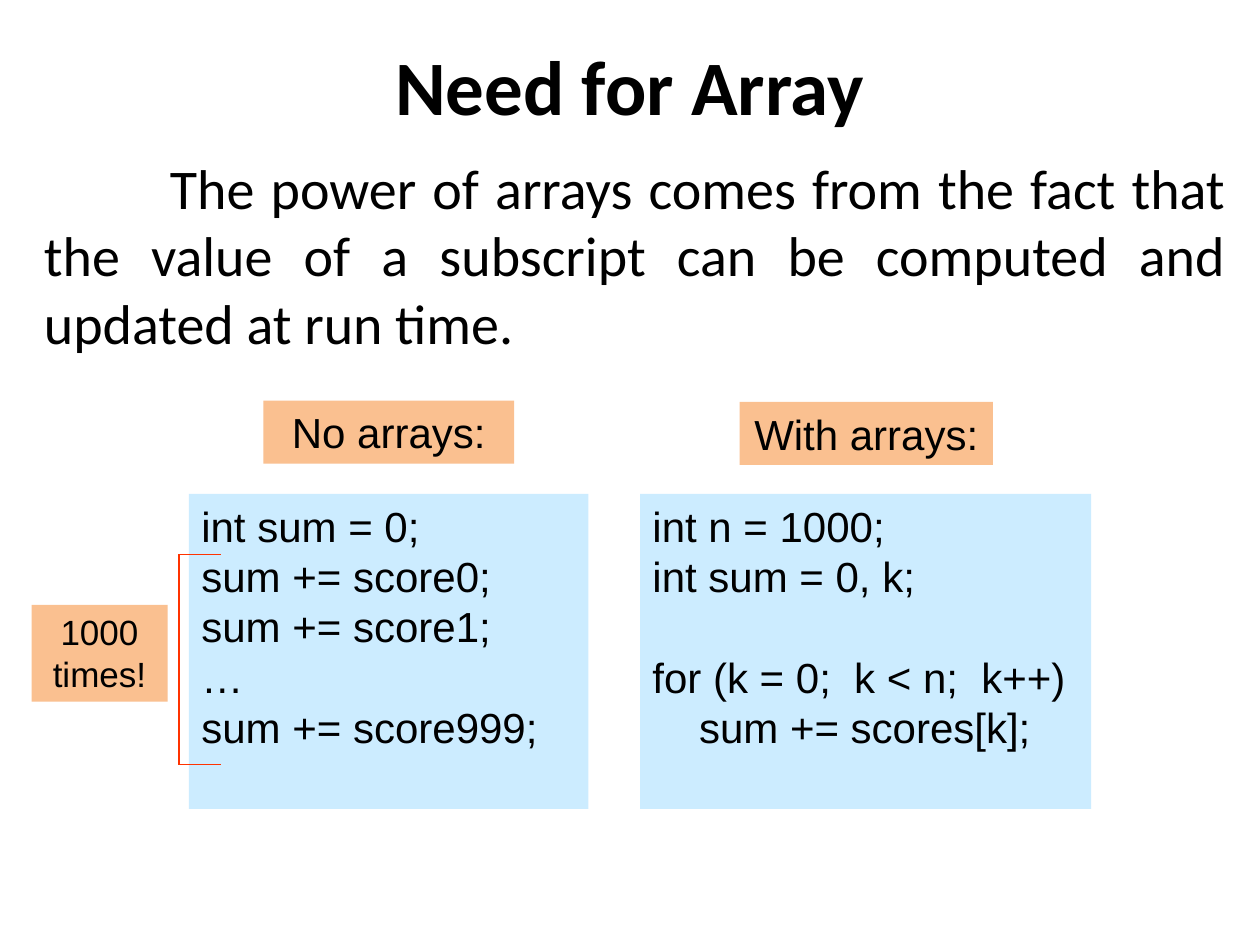
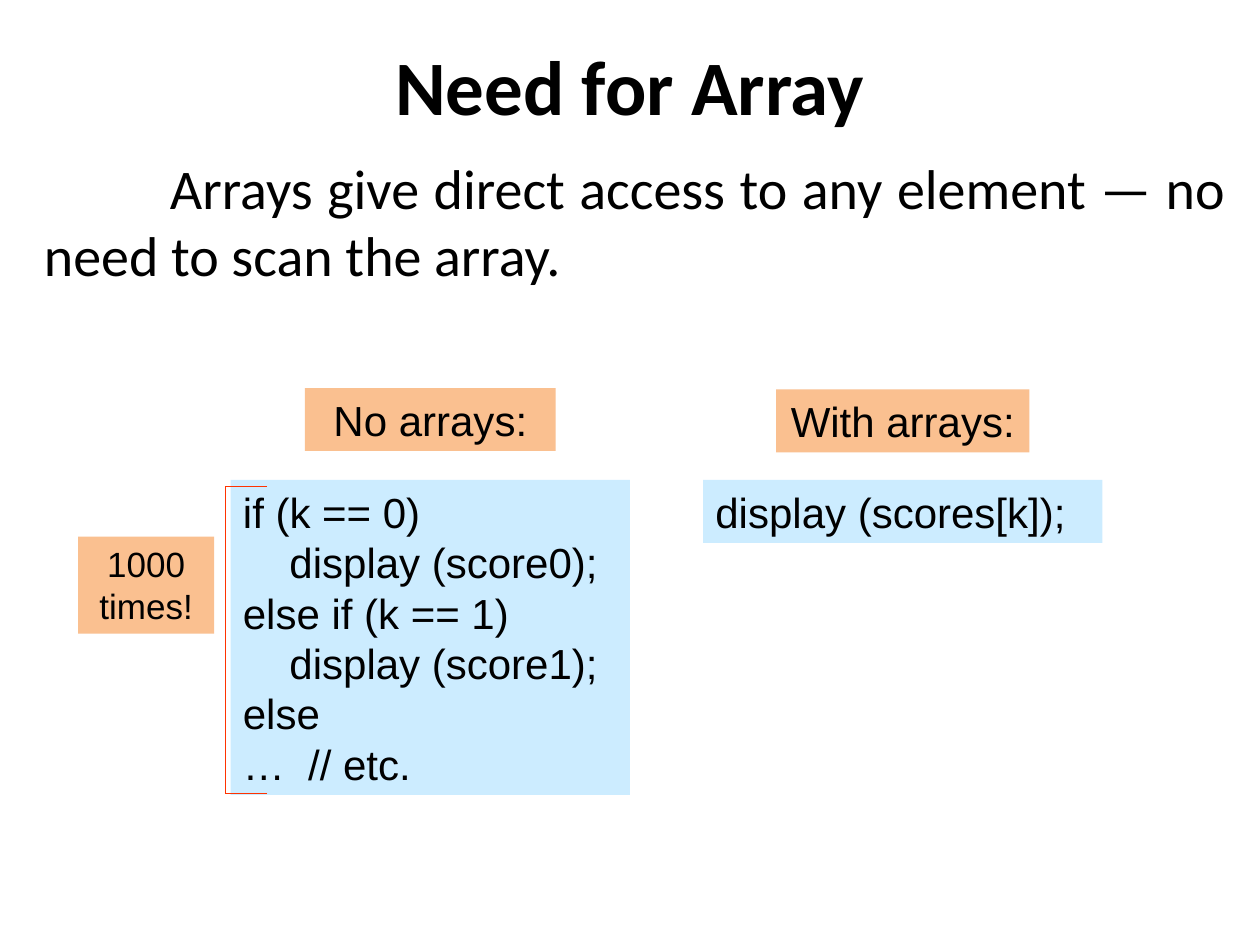
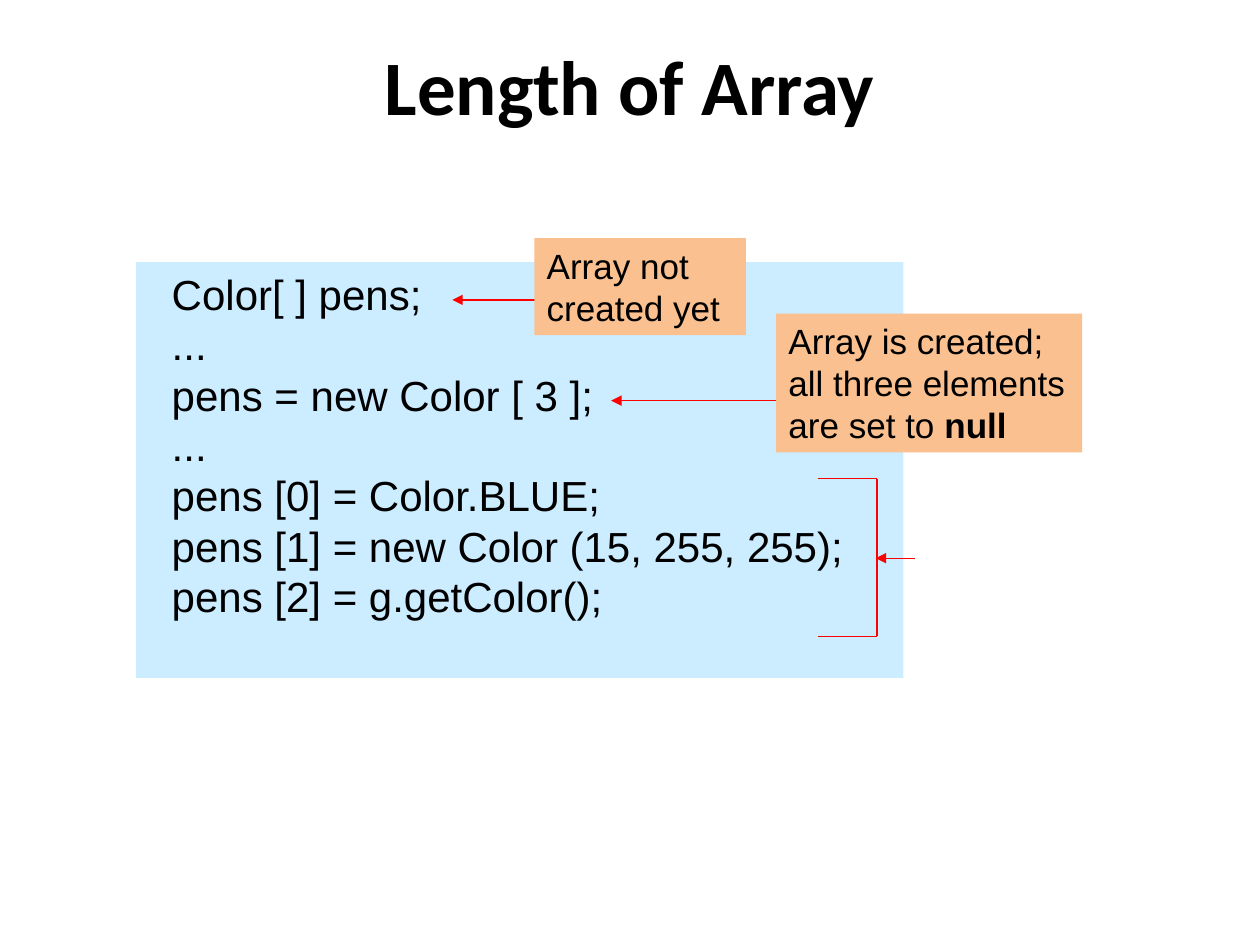
from lxml import etree
from pptx import Presentation
from pptx.dml.color import RGBColor
from pptx.enum.shapes import MSO_CONNECTOR, MSO_SHAPE
from pptx.enum.text import MSO_ANCHOR, PP_ALIGN
from pptx.oxml.ns import qn
from pptx.util import Inches, Pt

STRAIGHT = MSO_CONNECTOR.STRAIGHT
RECTANGLE = MSO_SHAPE.RECTANGLE
TOP, MIDDLE = MSO_ANCHOR.TOP, MSO_ANCHOR.MIDDLE
LEFT, CENTER, JUSTIFY = PP_ALIGN.LEFT, PP_ALIGN.CENTER, PP_ALIGN.JUSTIFY

BLACK = RGBColor(0x00, 0x00, 0x00)
CODE_BLUE = RGBColor(0xCC, 0xEC, 0xFF)
LABEL_ORANGE = RGBColor(0xFA, 0xC0, 0x90)
BRACKET_RED = RGBColor(0xFF, 0x33, 0x00)
ARROW_RED = RGBColor(0xFF, 0x00, 0x00)

HEADING_FONT, CODE_FONT = "Calibri", "Arial"
CODE_SIZE, NOTE_SIZE = 24, 20
LINE_RATIO = 1.2


class Lecture:
    """Holds the deck, its style and the current page."""

    def __init__(self):
        self.deck = Presentation()
        self.deck.slide_width = Inches(10)
        self.deck.slide_height = Inches(7.5)
        self.page = None

    def new_page(self, title):
        self.page = self.deck.slides.add_slide(self.deck.slide_layouts[6])
        box = self.text_box(0, 0.17, 10, 1)
        box.text_frame.vertical_anchor = MIDDLE
        para = box.text_frame.paragraphs[0]
        para.text = title
        para.alignment = CENTER
        self.style(para, HEADING_FONT, 44, bold=True)

    def text_box(self, left, top, width, height):
        box = self.page.shapes.add_textbox(
            Inches(left), Inches(top), Inches(width), Inches(height))
        box.text_frame.word_wrap = True
        return box

    def style(self, para, font, size, bold=False):
        for span in para.runs:
            span.font.name = font
            span.font.size = Pt(size)
            span.font.bold = bold
            span.font.color.rgb = BLACK

    def intro(self, text, height):
        para = self.text_box(0.25, 1.17, 9.58, height).text_frame.paragraphs[0]
        para.text = text
        para.alignment = JUSTIFY
        para._p.get_or_add_pPr().set("indent", str(Inches(1)))
        self.style(para, HEADING_FONT, 32)

    def panel(self, text, left, top, width, height, fill, size, align=LEFT):
        """Filled box; an empty line in the text becomes space before the next."""
        box = self.page.shapes.add_shape(
            RECTANGLE, Inches(left), Inches(top), Inches(width), Inches(height))
        box.shadow.inherit = False
        box.fill.solid()
        box.fill.fore_color.rgb = fill
        box.line.fill.background()
        frame = box.text_frame
        frame.word_wrap = True
        frame.vertical_anchor = TOP
        pitch = Pt(size * LINE_RATIO)
        para, gap = frame.paragraphs[0], 0
        for number, line in enumerate(text.split("\n")):
            if not line:
                gap = pitch
                continue
            if number:
                para = frame.add_paragraph()
            para.text = line
            para.alignment = align
            para.line_spacing = pitch
            para.space_before, gap = gap, 0
            self.style(para, CODE_FONT, size)
        return box

    def code(self, text, left, top, width, height):
        self.panel(text, left, top, width, height, CODE_BLUE, CODE_SIZE)

    def label(self, text, left, top, width):
        self.panel(text, left, top, width, 0.5, LABEL_ORANGE, CODE_SIZE, CENTER)

    def note(self, text, left, top, width, height, align=LEFT):
        return self.panel(text, left, top, width, height, LABEL_ORANGE, NOTE_SIZE, align)

    def repeat_note(self, left, top):
        self.note("1000\ntimes!", left, top, 1.08, 0.77, CENTER)

    def line(self, x1, y1, x2, y2, colour):
        line = self.page.shapes.add_connector(
            STRAIGHT, Inches(x1), Inches(y1), Inches(x2), Inches(y2))
        line.line.color.rgb = colour
        line.line.width = Pt(0.75)
        etree.SubElement(line._element.spPr, qn("a:effectLst"))
        return line

    def arrow(self, start, end, y):
        outline = self.line(start, y, end, y, ARROW_RED).line._get_or_add_ln()
        etree.SubElement(outline, qn("a:tailEnd"), type="triangle")

    def bracket(self, tip, spine, top, bottom, colour):
        for y in (top, bottom):
            self.line(tip, y, spine, y, colour)
        self.line(spine, top, spine, bottom, colour)


def main():
    lecture = Lecture()

    # Summing scores with and without arrays
    lecture.new_page("Need for Array")
    lecture.intro("The power of arrays comes from the fact that the value of a "
                  "subscript can be computed and updated at run time.", 1.72)
    lecture.code("int sum = 0;\nsum += score0;\nsum += score1;\n…\nsum += score999;",
                 1.5, 3.92, 3.17, 2.5)
    lecture.label("No arrays:", 2.09, 3.18, 1.99)
    lecture.code("int n = 1000;\nint sum = 0, k;\n\n"
                 "for (k = 0;  k < n;  k++)\n    sum += scores[k];",
                 5.08, 3.92, 3.58, 2.5)
    lecture.label("With arrays:", 5.87, 3.19, 2.01)
    lecture.repeat_note(0.25, 4.8)
    lecture.bracket(1.75, 1.42, 4.4, 6.07, BRACKET_RED)

    # Direct access to an element
    lecture.new_page("Need for Array")
    lecture.intro("Arrays give direct access to any element — no need to scan "
                  "the array.", 1.18)
    lecture.code("if (k == 0)\n    display (score0);\nelse if (k == 1)\n"
                 "    display (score1);\nelse\n…  // etc.", 1.83, 3.81, 3.17, 2.5)
    lecture.code("display (scores[k]);", 5.58, 3.81, 3.17, 0.5)
    lecture.repeat_note(0.62, 4.26)
    lecture.bracket(2.12, 1.79, 3.86, 6.3, BRACKET_RED)
    lecture.label("No arrays:", 2.42, 3.08, 1.99)
    lecture.label("With arrays:", 6.16, 3.09, 2.01)

    # Declaring, creating and filling an array
    lecture.new_page("Length of Array")
    lecture.code("  Color[ ] pens;\n  ...\n  pens = new Color [ 3 ];\n  ...\n"
                 "  pens [0] = Color.BLUE;\n"
                 "  pens [1] = new Color (15, 255, 255);\n"
                 "  pens [2] = g.getColor();", 1.08, 2.08, 6.09, 3.3)
    lecture.arrow(6.3, 4.85, 3.18)
    created = lecture.note("Array is created; all three elements are set to ",
                           6.16, 2.49, 2.43, 1.1)
    para = created.text_frame.paragraphs[0]
    null_word = para.add_run()
    null_word.text = "null"
    lecture.style(para, CODE_FONT, NOTE_SIZE)
    null_word.font.bold = True
    lecture.bracket(6.49, 6.96, 3.8, 5.05, ARROW_RED)
    lecture.arrow(7.26, 6.95, 4.43)
    lecture.arrow(4.37, 3.59, 2.38)
    lecture.note("Array not created yet", 4.24, 1.89, 1.68, 0.77)

    lecture.deck.save("out.pptx")


if __name__ == "__main__":
    main()
